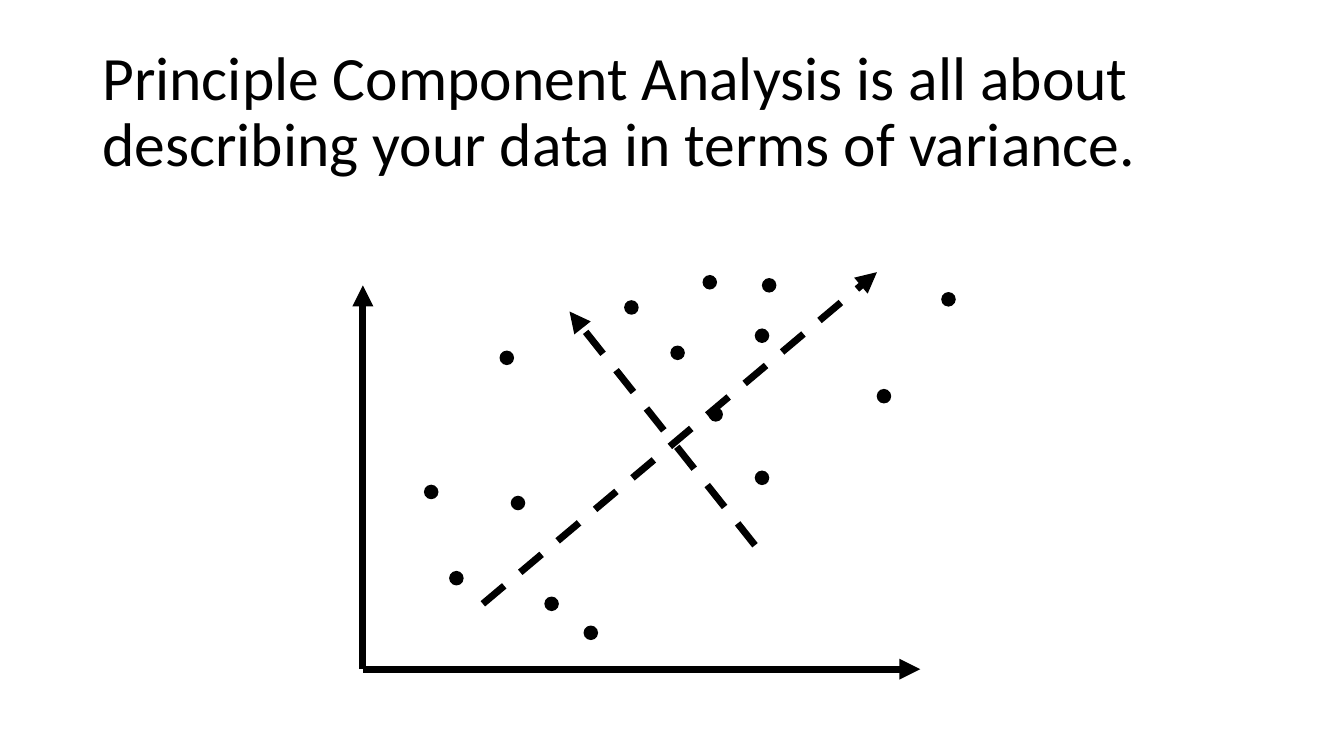
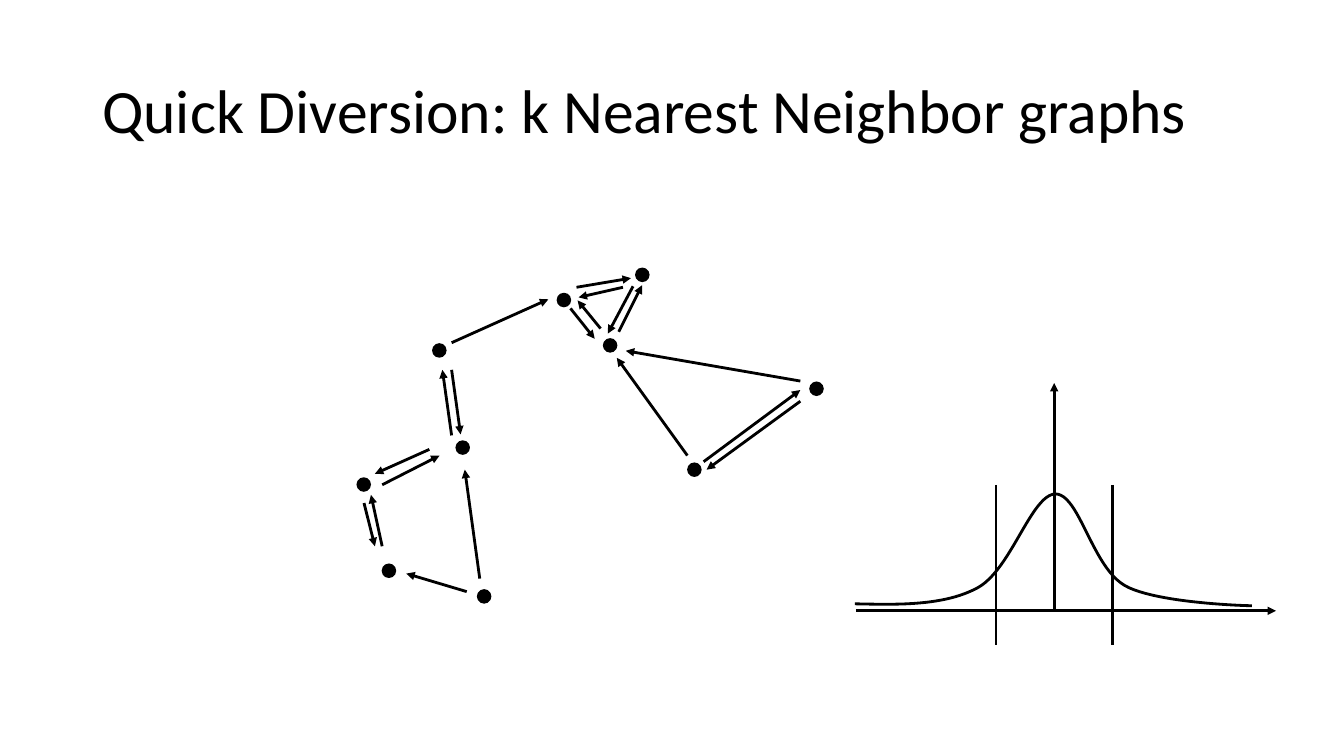
from lxml import etree
from pptx import Presentation
from pptx.dml.color import RGBColor
from pptx.enum.dml import MSO_LINE
from pptx.enum.shapes import MSO_CONNECTOR, MSO_SHAPE
from pptx.enum.text import MSO_ANCHOR
from pptx.oxml.ns import qn
from pptx.util import Pt

STRAIGHT, OVAL = MSO_CONNECTOR.STRAIGHT, MSO_SHAPE.OVAL
DASH, MIDDLE = MSO_LINE.DASH, MSO_ANCHOR.MIDDLE
HEX = {"ink": "000000", "paper": "FFFFFF"}
INK = RGBColor.from_string(HEX["ink"])
DOT = 10.4  # diameter of every data point

deck = Presentation()
deck.slide_width, deck.slide_height = Pt(960), Pt(540)


def write(slide, text, box=(66, 28.8, 828, 104.4), size=44, font="Calibri",
          color="ink", leading=0.9):
    frame = slide.shapes.add_textbox(*map(Pt, box)).text_frame
    frame.word_wrap = True
    frame.vertical_anchor = MIDDLE
    para = frame.paragraphs[0]
    para.line_spacing = leading
    run = para.add_run()
    run.text = text
    run.font.size, run.font.name = Pt(size), font
    run.font.color.rgb = RGBColor.from_string(HEX[color])


def draw(shapes, ends, width=2, dash=None, arrow=True):
    link = shapes.add_connector(STRAIGHT, *map(Pt, ends))
    link.line.color.rgb, link.line.width = INK, Pt(width)
    if dash:
        link.line.dash_style = dash
    if arrow:
        etree.SubElement(link.line._get_or_add_ln(), qn("a:tailEnd"), type="triangle")
    etree.SubElement(link._element.spPr, qn("a:effectLst"))


# Slides and titles
titles = [
    "Principle Component Analysis is all about describing your data in terms of variance.",
    "Quick Diversion: k Nearest Neighbor graphs",
]
slides = []
for title in titles:
    slide = deck.slides.add_slide(deck.slide_layouts[6])
    slide.background.fill.solid()
    slide.background.fill.fore_color.rgb = RGBColor.from_string(HEX["paper"])
    write(slide, title)
    slides.append(slide)
pca, knn = slides

# Data points by centre: the core set is on both slides, moved on the second
core = [(362, 255.6), (507, 201.6), (326, 413), (308, 351.4),
        (451, 219.6), (631.4, 283), (484, 252), (394, 431.3)]
extra = [(422, 452), (549.4, 203.8), (370, 359.3), (511.2, 296),
         (677.5, 213.8), (544.3, 341.3), (544.3, 239.8)]
moved = [(x - 48.2, y - 5.3) for x, y in core]

# Axes of the scatter plot
for ends in [(259.2, 478, 259.2, 203.8), (259.2, 478, 657.4, 478)]:
    draw(pca.shapes, ends, width=5)

cloud = pca.shapes.add_group_shape().shapes
for shapes, points in [(cloud, core + extra),
                       (knn.shapes, moved + [(330.5, 319.7), (496, 335.5)])]:
    for x, y in points:
        dot = shapes.add_shape(OVAL, Pt(x - DOT / 2), Pt(y - DOT / 2), Pt(DOT), Pt(DOT))
        dot.shadow.inherit = False
        dot.fill.solid()
        dot.fill.fore_color.rgb = INK
        dot.line.fill.background()

# Principal components
for ends in [(344.9, 431.3, 626.4, 194.4), (539.3, 389.5, 406.8, 222.5)]:
    draw(cloud, ends, width=5, dash=DASH)

# Neighbor arrows
hops = [
    (260, 359.3, 267.8, 390.2), (273, 390.2, 265, 353.5),
    (273, 346.3, 314, 325.4), (306.7, 321, 267.8, 338.4),
    (333.4, 422.6, 290.2, 409.7), (342.7, 413.3, 332, 335.5),
    (322.6, 311, 316, 264.2), (322.6, 264.2, 329, 310.3),
    (322.6, 244.8, 391.7, 213.8), (407.5, 220.3, 424.8, 242),
    (429, 234.7, 412.6, 214.6), (442, 237, 458.6, 203.8),
    (452.2, 204.5, 434.2, 238.3), (445, 205.2, 413.3, 212.4),
    (411.8, 205.2, 450.7, 198.7), (491, 325.4, 440.6, 255.6),
    (571.7, 272.2, 447, 250.6), (502.6, 329.8, 571.7, 278.6),
    (571.7, 286.6, 504.7, 335.5),
]
# Axes of the bell curve
axes = [(611.3, 436.3, 911.5, 436.3), (753, 436.3, 753, 273.6)]
for ends in hops + axes:
    draw(knn.shapes, ends)

# Bell curve, traced along its Bézier segments
start = (610.6, 431.3)
bends = [
    ((642.2, 432), (674.6, 432.7), (698.4, 419.8)),
    ((722.2, 406.8), (736.6, 353.5), (753.8, 352.8)),
    ((771, 352.8), (779.8, 404.6), (803.5, 418.3)),
    ((826.6, 431.3), (894.2, 432.7), (894.2, 432.7)),
]
steps = 24
trace, last = [], start
for bend in bends:
    for step in range(1, steps + 1):
        t = step / steps
        parts = ((1 - t) ** 3, 3 * t * (1 - t) ** 2, 3 * t * t * (1 - t), t ** 3)
        trace.append(tuple(Pt(sum(w * p[i] for w, p in zip(parts, (last, *bend))))
                           for i in (0, 1)))
    last = bend[-1]
path = knn.shapes.build_freeform(*map(Pt, start))
path.add_line_segments(trace, close=False)
bell = path.convert_to_shape()
bell.shadow.inherit = False
bell.fill.background()
bell.line.color.rgb, bell.line.width = INK, Pt(2)

# Bounds on either side of the mean
for x in (711.4, 794.9):
    draw(knn.shapes, (x, 346.3, x, 460.8), arrow=False)

deck.save("out.pptx")
